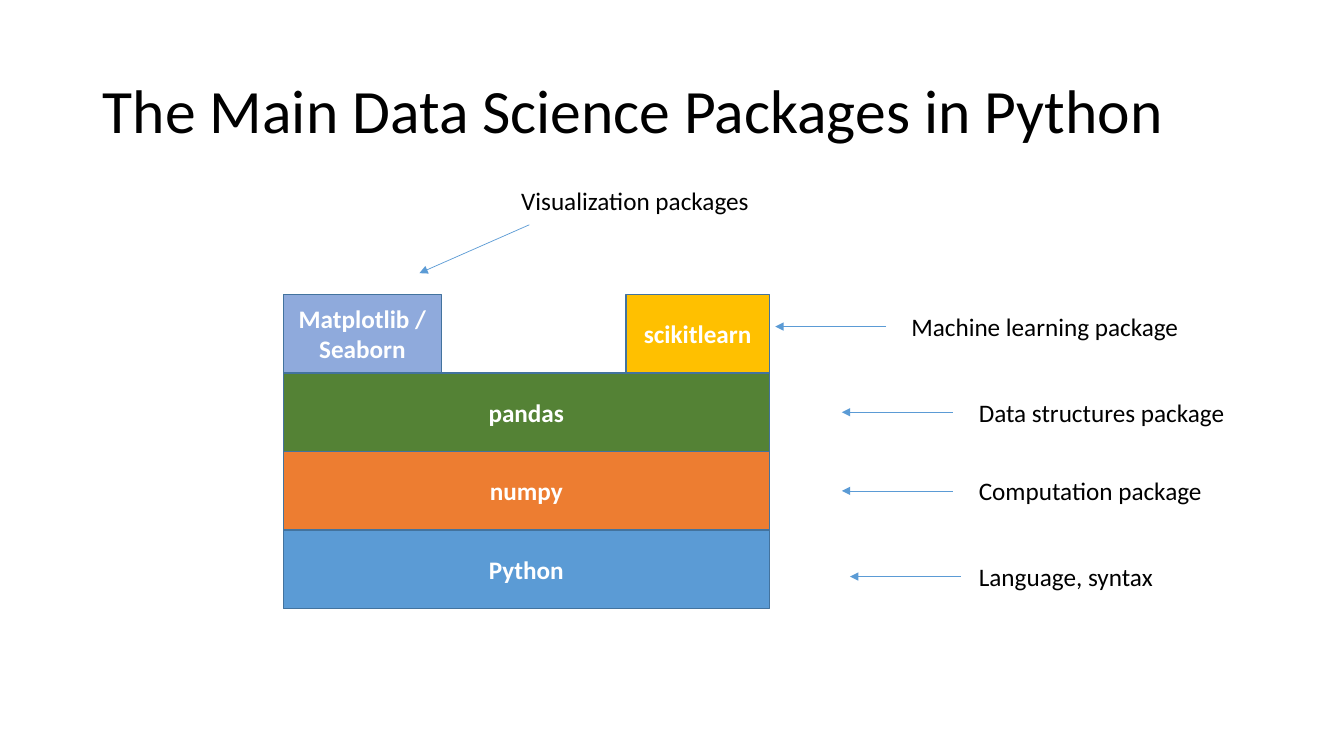
import pptx
import pptx.dml.color
import pptx.enum.shapes
import pptx.enum.text
import pptx.oxml
import pptx.oxml.ns
import pptx.util

Inches = pptx.util.Inches
ALIGN = pptx.enum.text.PP_ALIGN
ANCHOR = pptx.enum.text.MSO_ANCHOR
AUTO_SIZE = pptx.enum.text.MSO_AUTO_SIZE

PAGE_WIDTH, PAGE_HEIGHT = 13.33, 7.5
STACK_LEFT, STACK_TOP = 2.81, 2.92
STACK_WIDTH, ROW_HEIGHT = 4.82, 0.78
LABEL_HEIGHT = 0.4
ARROW_LENGTH = 1.1

LAYERS = [
    (0, 0, 1.57, "8FAADC", "Matplotlib /\nSeaborn"),
    (0, 3.4, 1.42, "FFC000", "scikitlearn"),
    (1, 0, STACK_WIDTH, "548235", "pandas"),
    (2, 0, STACK_WIDTH, "ED7D31", "numpy"),
    (3, 0, STACK_WIDTH, "5B9BD5", "Python"),
]

SIDE_NOTES = [
    (3.24, 7.69, 8.94, 2.94, "Machine learning package"),
    (4.09, 8.35, 9.61, 2.66, "Data structures package"),
    (4.87, 8.35, 9.61, 2.5, "Computation package"),
    (5.72, 8.43, 9.61, 1.95, "Language, syntax"),
]


def colour(value):
    return pptx.dml.color.RGBColor.from_string(value)


def write(frame, text, size, ink, align, bold=False):
    frame.text = text
    for para in frame.paragraphs:
        para.alignment = align
        para.font.name = "Calibri"
        para.font.size = pptx.util.Pt(size)
        para.font.bold = bold
        para.font.color.rgb = colour(ink)


def add_title(page, text):
    title = page.shapes.title
    title.left, title.top = Inches(0.92), Inches(0.4)
    title.width, title.height = Inches(11.5), Inches(1.45)
    frame = title.text_frame
    write(frame, text, 44, "000000", ALIGN.LEFT)
    frame.auto_size = AUTO_SIZE.NONE
    frame.vertical_anchor = ANCHOR.MIDDLE
    frame.paragraphs[0].line_spacing = 0.9


def add_layer(page, row, offset, width, fill, text):
    box = page.shapes.add_shape(
        pptx.enum.shapes.MSO_SHAPE.RECTANGLE,
        Inches(STACK_LEFT + offset), Inches(STACK_TOP + row * ROW_HEIGHT),
        Inches(width), Inches(ROW_HEIGHT))
    box.shadow.inherit = False
    box.fill.solid()
    box.fill.fore_color.rgb = colour(fill)
    box.line.color.rgb = colour("43739E")
    box.line.width = pptx.util.Pt(1)
    box.text_frame.vertical_anchor = ANCHOR.MIDDLE
    write(box.text_frame, text, 18, "FFFFFF", ALIGN.CENTER, True)


def add_label(page, left, top, width, text):
    box = page.shapes.add_textbox(
        Inches(left), Inches(top), Inches(width), Inches(LABEL_HEIGHT))
    box.text_frame.word_wrap = False
    box.text_frame.auto_size = AUTO_SIZE.SHAPE_TO_FIT_TEXT
    write(box.text_frame, text, 18, "000000", ALIGN.LEFT)


def add_arrow(page, start, end):
    arrow = page.shapes.add_connector(
        pptx.enum.shapes.MSO_CONNECTOR.STRAIGHT,
        *(Inches(value) for value in (*start, *end)))
    arrow.line.color.rgb = colour("5B9BD5")
    arrow.line.width = pptx.util.Pt(0.5)
    head = pptx.oxml.parse_xml(
        f'<a:tailEnd {pptx.oxml.ns.nsdecls("a")} type="triangle"/>')
    arrow.line._get_or_add_ln().append(head)
    effects = pptx.oxml.parse_xml(
        f'<a:effectLst {pptx.oxml.ns.nsdecls("a")}/>')
    arrow._element.spPr.append(effects)


def main():
    deck = pptx.Presentation()
    deck.slide_width = Inches(PAGE_WIDTH)
    deck.slide_height = Inches(PAGE_HEIGHT)
    page = deck.slides.add_slide(deck.slide_layouts.get_by_name("Title Only"))

    add_title(page, "The Main Data Science Packages in Python")
    for layer in reversed(LAYERS):
        add_layer(page, *layer)
    for middle, tip, left, width, text in SIDE_NOTES:
        add_arrow(page, (tip + ARROW_LENGTH, middle), (tip, middle))
        add_label(page, left, middle - LABEL_HEIGHT / 2, width, text)
    add_arrow(page, (5.25, 2.23), (4.16, 2.71))
    add_label(page, 5.07, 1.79, 2.49, "Visualization packages")

    deck.save("out.pptx")


if __name__ == "__main__":
    main()
